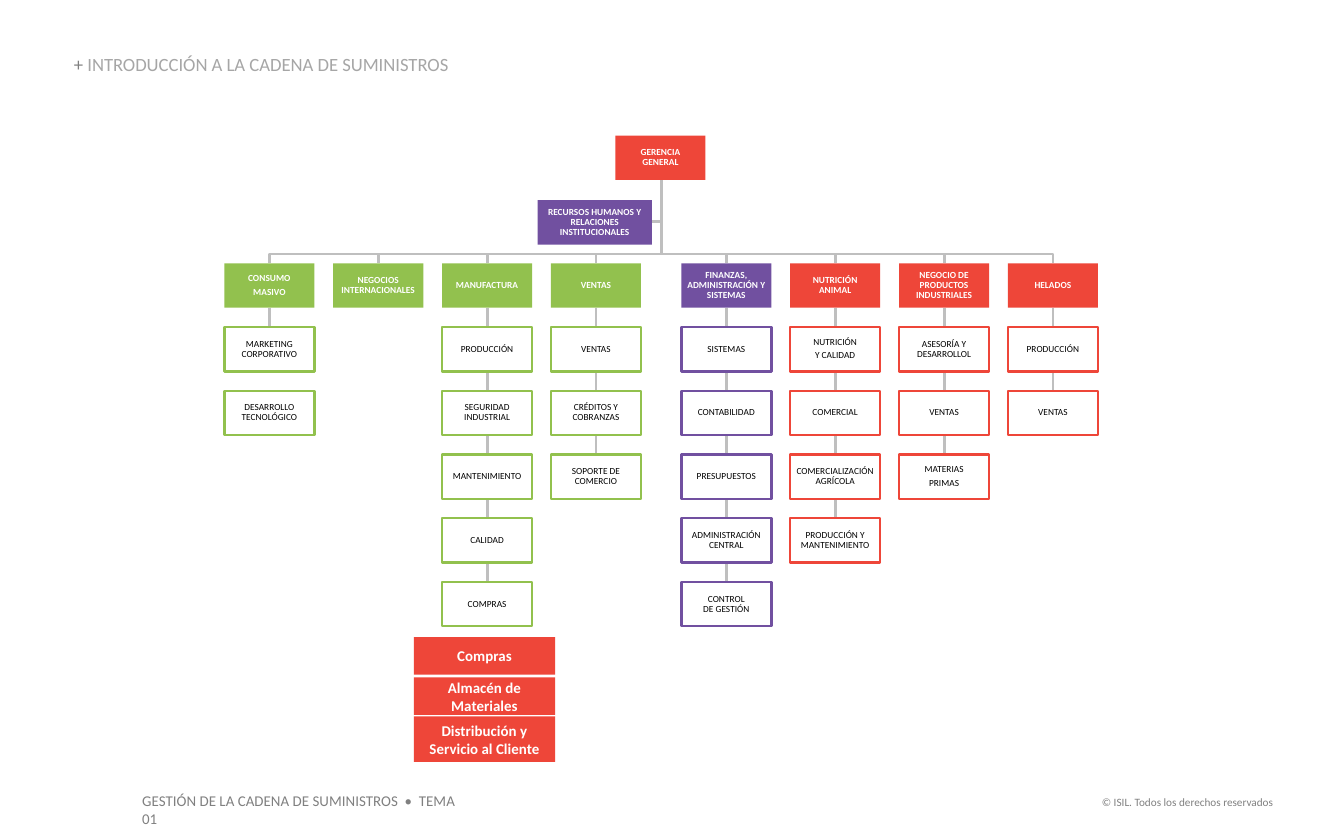
from dataclasses import dataclass

from lxml import etree
from pptx import Presentation
from pptx.dml.color import RGBColor
from pptx.enum.shapes import MSO_CONNECTOR, MSO_SHAPE
from pptx.enum.text import MSO_ANCHOR, PP_ALIGN
from pptx.oxml.ns import qn
from pptx.util import Inches, Pt

RED = RGBColor(0xEE, 0x46, 0x39)
GREEN = RGBColor(0x92, 0xC1, 0x4E)
PURPLE = RGBColor(0x71, 0x50, 0xA0)
WHITE = RGBColor(0xFF, 0xFF, 0xFF)
BLACK = RGBColor(0x00, 0x00, 0x00)
LINK_GRAY = RGBColor(0xBF, 0xBF, 0xBF)
TEXT_GRAY = RGBColor(0x80, 0x80, 0x80)
TITLE_GRAY = RGBColor(0xA6, 0xA6, 0xA6)

RECT = MSO_SHAPE.RECTANGLE
STRAIGHT = MSO_CONNECTOR.STRAIGHT
MIDDLE, BOTTOM, TOP = MSO_ANCHOR.MIDDLE, MSO_ANCHOR.BOTTOM, MSO_ANCHOR.TOP
LEFT, CENTER, RIGHT = PP_ALIGN.LEFT, PP_ALIGN.CENTER, PP_ALIGN.RIGHT

FONT = "Calibri"
BOX_W, BOX_H = 0.67, 0.33
COLUMN_PITCH = 0.81
LEFT_GROUP, RIGHT_GROUP = 1.67, 5.07
HEAD_TOP, LAST_TOP = 1.96, 4.33
ROW_PITCH = (LAST_TOP - HEAD_TOP) / 5
TRUNK_X, TRUNK_TOP, BUS_Y = 4.92, 1.34, 1.89
STAFF_RIGHT, STAFF_Y = 4.85, 1.65


@dataclass(frozen=True)
class Area:
    """A management area; chained is how many of its units hang from the line."""
    name: str
    color: RGBColor
    units: tuple[str, ...]
    chained: int


@dataclass(frozen=True)
class Focus:
    name: str
    top: float
    height: float


# In a label, \v breaks the line and \n starts a paragraph.
LEFT_AREAS = (
    Area("CONSUMO\nMASIVO", GREEN,
         ("MARKETING CORPORATIVO", "DESARROLLO TECNOLÓGICO"), 1),
    Area("NEGOCIOS INTERNACIONALES", GREEN, (), 0),
    Area("MANUFACTURA", GREEN,
         ("PRODUCCIÓN", "SEGURIDAD INDUSTRIAL", "MANTENIMIENTO", "CALIDAD", "COMPRAS"), 5),
    Area("VENTAS", GREEN, ("VENTAS", "CRÉDITOS Y COBRANZAS", "SOPORTE DE COMERCIO"), 3),
)
RIGHT_AREAS = (
    Area("FINANZAS, ADMINISTRACIÓN Y SISTEMAS", PURPLE,
         ("SISTEMAS", "CONTABILIDAD", "PRESUPUESTOS", "ADMINISTRACIÓN CENTRAL",
          "CONTROL\vDE GESTIÓN"), 5),
    Area("NUTRICIÓN\vANIMAL", RED,
         ("NUTRICIÓN\nY CALIDAD", "COMERCIAL", "COMERCIALIZACIÓN AGRÍCOLA",
          "PRODUCCIÓN Y MANTENIMIENTO"), 4),
    Area("NEGOCIO DE PRODUCTOS INDUSTRIALES", RED,
         ("ASESORÍA Y DESARROLLOL", "VENTAS", "MATERIAS\nPRIMAS"), 3),
    Area("HELADOS", RED, ("PRODUCCIÓN", "VENTAS"), 2),
)
FOCUSES = (
    Focus("Compras", 4.74, 0.28),
    Focus("Almacén de Materiales", 5.04, 0.28),
    Focus("Distribución y Servicio al Cliente", 5.33, 0.34),
)


def write(shape, text: str, size: float, color: RGBColor, align=LEFT, anchor=TOP,
          bold: bool = False, spacing: float = 1.0, inset: bool = True) -> None:
    frame = shape.text_frame
    frame.text = text
    frame.word_wrap = True
    frame.vertical_anchor = anchor
    if not inset:
        frame.margin_left = frame.margin_right = 0
        frame.margin_top = frame.margin_bottom = 0
    for index, paragraph in enumerate(frame.paragraphs):
        paragraph.alignment = align
        paragraph.line_spacing = spacing
        if index:
            paragraph.space_before = Pt(1.8)
        for run in paragraph.runs:
            run.font.name = FONT
            run.font.size = Pt(size)
            run.font.bold = bold
            run.font.color.rgb = color


def add_panel(slide, left: float, top: float, width: float, height: float,
              fill: RGBColor, outline: RGBColor | None = None):
    panel = slide.shapes.add_shape(
        RECT, Inches(left), Inches(top), Inches(width), Inches(height))
    panel.shadow.inherit = False
    panel.fill.solid()
    panel.fill.fore_color.rgb = fill
    if outline is None:
        panel.line.fill.background()
    else:
        panel.line.color.rgb = outline
        panel.line.width = Pt(1.25)
    return panel


def add_head(slide, name: str, left: float, top: float, color: RGBColor,
             width: float = BOX_W) -> None:
    panel = add_panel(slide, left, top, width, BOX_H, color)
    write(panel, name, 5, WHITE, CENTER, MIDDLE, bold=True, spacing=0.9, inset=False)


def add_unit(slide, name: str, left: float, top: float, color: RGBColor) -> None:
    panel = add_panel(slide, left, top, BOX_W, BOX_H, WHITE, color)
    write(panel, name, 5, BLACK, CENTER, MIDDLE, spacing=0.9, inset=False)


def style_link(link) -> None:
    link.line.color.rgb = LINK_GRAY
    link.line.width = Pt(1.5)


def add_branch(slide, points: list[tuple[float, float]]) -> None:
    """Draw an open, angled link through the points."""
    corners = [(Inches(x), Inches(y)) for x, y in points]
    builder = slide.shapes.build_freeform(*corners[0])
    builder.add_line_segments(corners[1:], close=False)
    branch = builder.convert_to_shape()
    branch.shadow.inherit = False
    branch.fill.background()
    style_link(branch)


def add_chain(slide, x: float, top: float, bottom: float) -> None:
    chain = slide.shapes.add_connector(
        STRAIGHT, Inches(x), Inches(top), Inches(x), Inches(bottom))
    style_link(chain)
    etree.SubElement(chain._element.spPr, qn("a:effectLst"))


def add_area_links(slide, area: Area, left: float) -> None:
    x = left + BOX_W / 2
    add_branch(slide, [(TRUNK_X, TRUNK_TOP), (TRUNK_X, BUS_Y), (x, BUS_Y), (x, HEAD_TOP)])
    if area.chained:
        add_chain(slide, x, HEAD_TOP + BOX_H, HEAD_TOP + area.chained * ROW_PITCH)


def add_area(slide, area: Area, left: float) -> None:
    add_head(slide, area.name, left, HEAD_TOP, area.color)
    for row, unit in enumerate(area.units, start=1):
        add_unit(slide, unit, left, HEAD_TOP + row * ROW_PITCH, area.color)


def add_label(slide, left: float, top: float, width: float, height: float):
    return slide.shapes.add_textbox(
        Inches(left), Inches(top), Inches(width), Inches(height))


def main() -> None:
    deck = Presentation()
    deck.slide_width, deck.slide_height = Inches(10), Inches(6.25)
    slide = deck.slides.add_slide(deck.slide_layouts[6])

    rights = add_label(slide, 8.07, 5.87, 1.5, 0.2)
    write(rights, "© ISIL. Todos los derechos reservados", 6, TEXT_GRAY, RIGHT)
    course = add_label(slide, 0.96, 5.84, 2.66, 0.24)
    write(course, "GESTIÓN DE LA CADENA DE SUMINISTROS  •  TEMA 01", 8, TEXT_GRAY)

    placed = [(area, start + column * COLUMN_PITCH)
              for start, areas in ((LEFT_GROUP, LEFT_AREAS), (RIGHT_GROUP, RIGHT_AREAS))
              for column, area in enumerate(areas)]
    add_branch(slide, [(TRUNK_X, TRUNK_TOP), (TRUNK_X, STAFF_Y), (STAFF_RIGHT, STAFF_Y)])
    for area, left in placed:
        add_area_links(slide, area, left)
    add_head(slide, "GERENCIA\vGENERAL", 4.58, 1.01, RED)
    for area, left in placed:
        add_area(slide, area, left)
    add_head(slide, "RECURSOS HUMANOS Y RELACIONES INSTITUCIONALES", 4, 1.49, PURPLE, 0.85)

    for focus in FOCUSES:
        panel = add_panel(slide, 3.08, focus.top, 1.05, focus.height, RED)
        write(panel, focus.name, 8, WHITE, CENTER, MIDDLE, bold=True)

    title = add_label(slide, 0.55, 0.41, 4.65, 0.15)
    write(title, "+ ", 10, TEXT_GRAY, anchor=BOTTOM, spacing=0.9, inset=False)
    topic = title.text_frame.paragraphs[0].add_run()
    topic.text = "INTRODUCCIÓN A LA CADENA DE SUMINISTROS"
    topic.font.name = FONT
    topic.font.size = Pt(10)
    topic.font.color.rgb = TITLE_GRAY

    deck.save("out.pptx")


if __name__ == "__main__":
    main()
